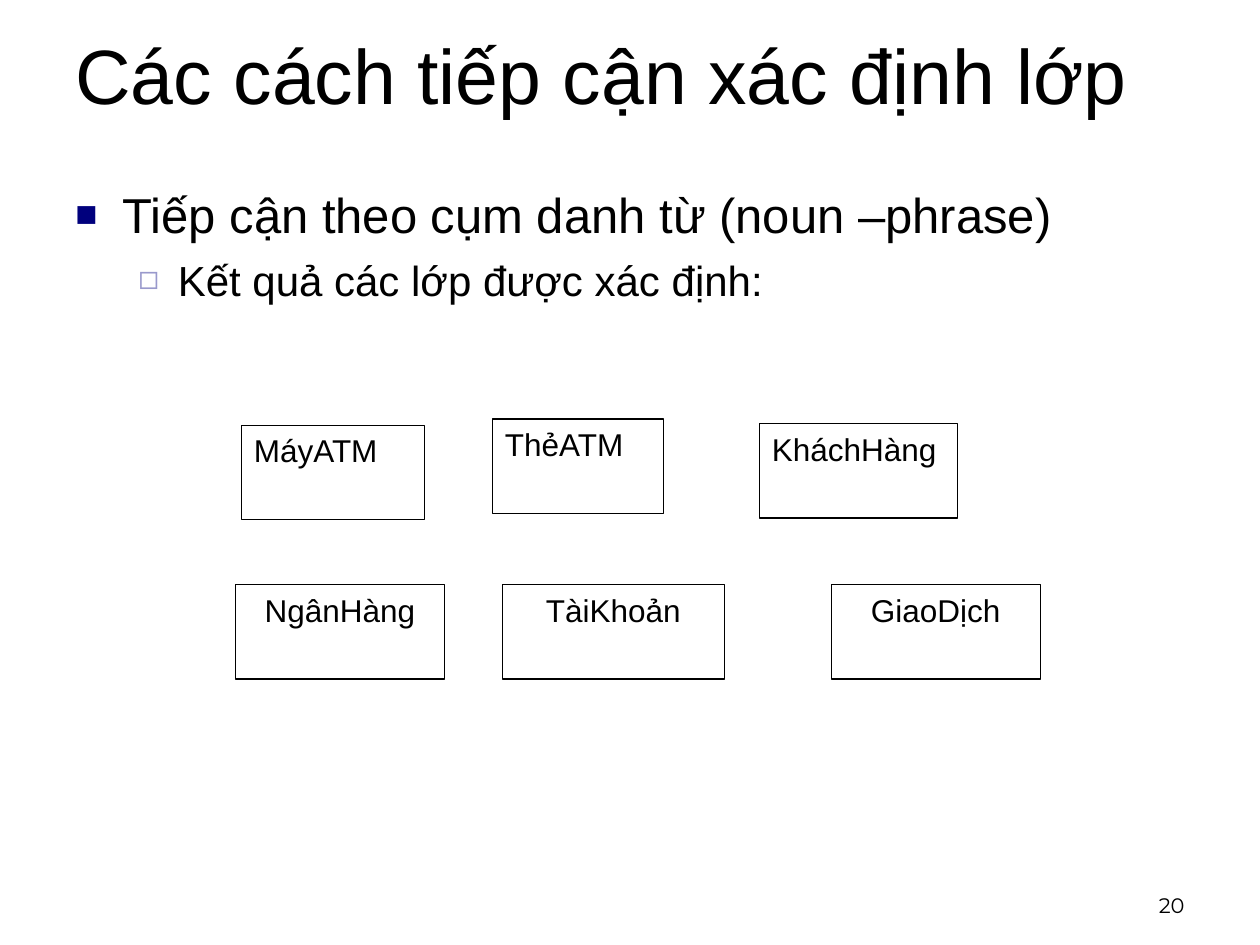
from dataclasses import dataclass

from lxml.etree import SubElement
from pptx import Presentation
from pptx.dml.color import RGBColor
from pptx.enum.shapes import MSO_SHAPE
from pptx.enum.text import MSO_ANCHOR, PP_ALIGN
from pptx.oxml.ns import qn
from pptx.shapes.autoshape import Shape
from pptx.slide import Slide
from pptx.text.text import TextFrame, _Paragraph
from pptx.util import Pt

COLORS = {"ink": "000000", "paper": "FFFFFF", "navy": "00007D", "lilac": "9999CC"}
HIGH = 54


@dataclass
class Label:
    text: str
    left: float
    top: float
    width: float
    height: float
    size: float
    font: str = "Arial"
    align: PP_ALIGN = PP_ALIGN.LEFT
    anchor: MSO_ANCHOR = MSO_ANCHOR.TOP


@dataclass
class Point:
    text: str
    size: float
    level: int
    margin: float
    hang: float
    space: float
    mark: str
    color: str
    scale: int


@dataclass
class Entity:
    name: str
    left: float
    top: float
    width: float
    align: PP_ALIGN


LABELS = [
    Label("Các cách tiếp cận xác định lớp", 36, -12, 648, 108, 44,
          anchor=MSO_ANCHOR.MIDDLE),
    Label("20", 516, 492, 168, 36, 12, "Montserrat", PP_ALIGN.RIGHT,
          MSO_ANCHOR.BOTTOM),
]
POINTS = [
    Point("Tiếp cận theo cụm danh từ (noun –phrase)", 28, 0, 27, 27, 0,
          "■", "navy", 75),
    Point("Kết quả các lớp được xác định:", 24, 1, 58.5, 22.5, 6,
          "◻", "lilac", 80),
]
ENTITIES = [
    Entity("MáyATM", 138, 243, 104.5, PP_ALIGN.LEFT),
    Entity("ThẻATM", 281.5, 239.5, 97.5, PP_ALIGN.LEFT),
    Entity("KháchHàng", 434, 242, 113, PP_ALIGN.LEFT),
    Entity("NgânHàng", 134.5, 334, 119.5, PP_ALIGN.CENTER),
    Entity("TàiKhoản", 287, 334, 127, PP_ALIGN.CENTER),
    Entity("GiaoDịch", 475, 334, 119.5, PP_ALIGN.CENTER),
]


def color(name: str) -> RGBColor:
    return RGBColor.from_string(COLORS[name])


def write(para: _Paragraph, text: str, size: float, face: str = "Arial") -> None:
    para.text = text
    para.font.size = Pt(size)
    para.font.name = face
    para.font.color.rgb = color("ink")


def setup(frame: TextFrame, anchor: MSO_ANCHOR = MSO_ANCHOR.TOP) -> None:
    frame.word_wrap = True
    frame.vertical_anchor = anchor


def add_label(slide: Slide, item: Label) -> None:
    box = slide.shapes.add_textbox(
        Pt(item.left), Pt(item.top), Pt(item.width), Pt(item.height))
    setup(box.text_frame, item.anchor)
    para = box.text_frame.paragraphs[0]
    para.alignment = item.align
    write(para, item.text, item.size, item.font)


def add_mark(para: _Paragraph, point: Point) -> None:
    props = para._p.get_or_add_pPr()
    props.set("marL", str(Pt(point.margin)))
    props.set("indent", str(-Pt(point.hang)))
    tint = SubElement(props, qn("a:buClr"))
    SubElement(tint, qn("a:srgbClr"), val=COLORS[point.color])
    SubElement(props, qn("a:buSzPct"), val=str(point.scale * 1000))
    SubElement(props, qn("a:buFont"), typeface="Arial")
    SubElement(props, qn("a:buChar"), char=point.mark)


def add_points(slide: Slide, points: list[Point]) -> None:
    box = slide.shapes.add_textbox(Pt(36), Pt(102), Pt(636), Pt(162))
    frame = box.text_frame
    setup(frame)
    for num, point in enumerate(points):
        para = frame.add_paragraph() if num else frame.paragraphs[0]
        para.level = point.level
        add_mark(para, point)
        if point.space:
            para.space_before = Pt(point.space)
        write(para, point.text, point.size)


def add_entity(slide: Slide, item: Entity) -> Shape:
    box = slide.shapes.add_shape(
        MSO_SHAPE.RECTANGLE, Pt(item.left), Pt(item.top), Pt(item.width), Pt(HIGH))
    box.shadow.inherit = False
    box.fill.background()
    box.line.color.rgb = color("ink")
    box.line.width = Pt(0)
    setup(box.text_frame)
    para = box.text_frame.paragraphs[0]
    para.alignment = item.align
    write(para, item.name, 18)
    return box


def main() -> None:
    deck = Presentation()
    deck.slide_width, deck.slide_height = Pt(720), Pt(540)
    slide = deck.slides.add_slide(deck.slide_layouts[6])
    slide.background.fill.solid()
    slide.background.fill.fore_color.rgb = color("paper")
    for label in LABELS:
        add_label(slide, label)
    add_points(slide, POINTS)
    for item in ENTITIES:
        add_entity(slide, item)
    deck.save("out.pptx")


if __name__ == "__main__":
    main()
